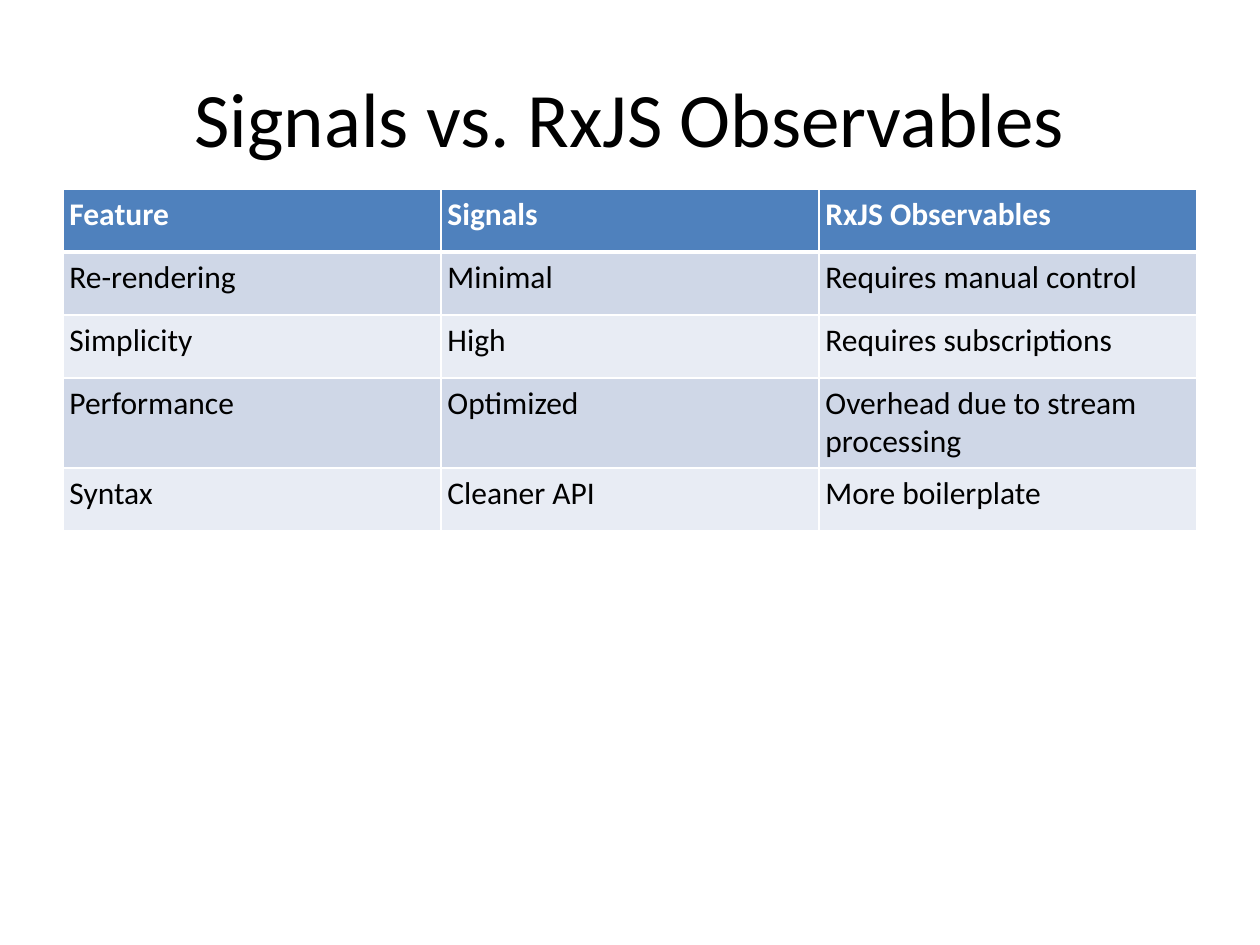
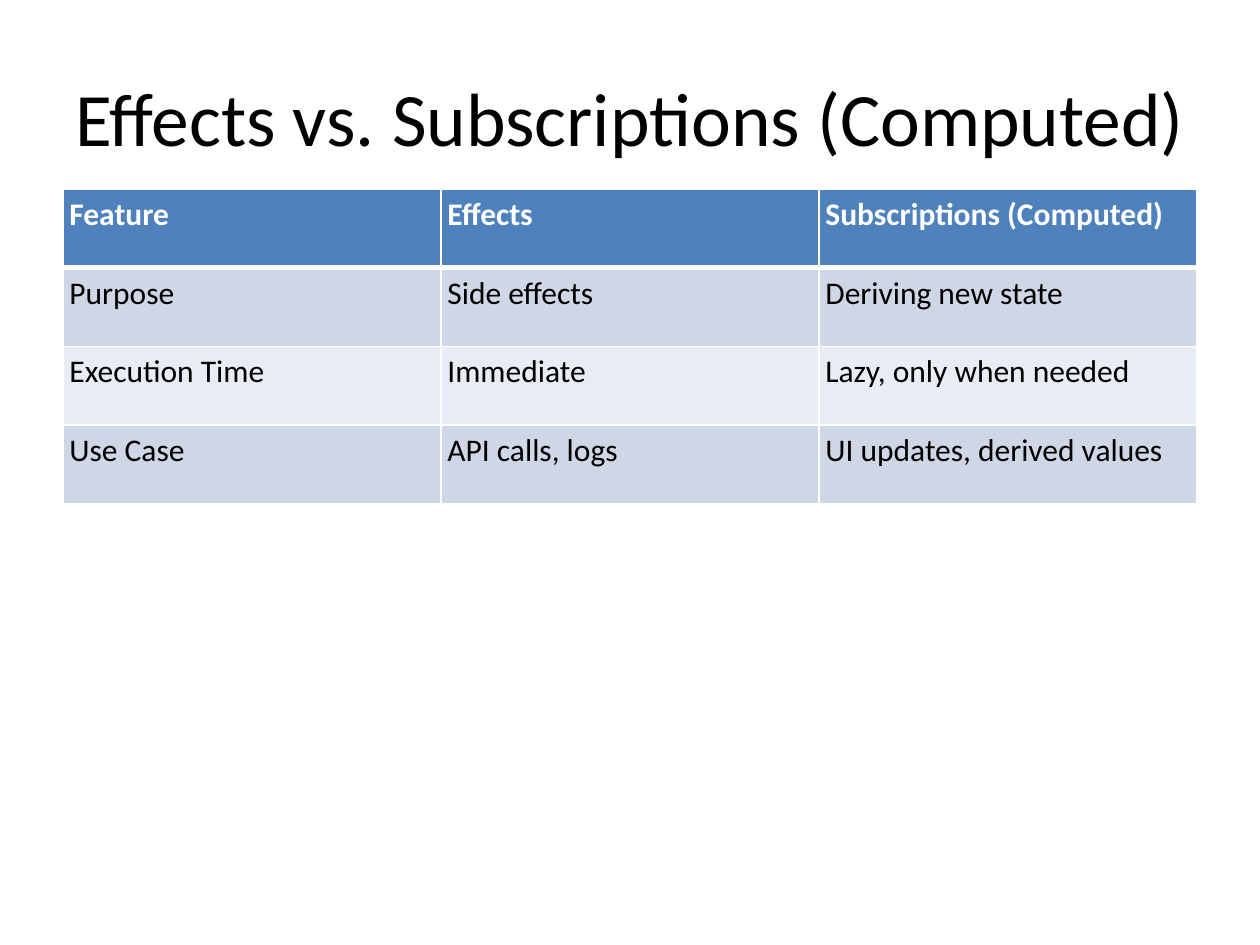
from lxml import etree
from pptx import Presentation
from pptx import util as u
from pptx.dml.color import RGBColor
from pptx.enum import text
from pptx.oxml import ns

FONT = "Calibri"
BLACK = RGBColor(0x00, 0x00, 0x00)
WHITE = RGBColor(0xFF, 0xFF, 0xFF)
HEADER_BLUE = RGBColor(0x4F, 0x81, 0xBD)
BAND_DARK = RGBColor(0xCF, 0xD7, 0xE7)
BAND_LIGHT = RGBColor(0xE8, 0xEC, 0xF4)

LEFT = u.Cm(1.27)
CONTENT_WIDTH = u.Cm(22.86)
TITLE_TOP, TITLE_HEIGHT = u.Cm(0.76), u.Cm(3.18)
TABLE_TOP, TABLE_HEIGHT = u.Cm(3.81), u.Cm(6.35)
INSET = u.Cm(0.13)
THIN, THICK = u.Pt(1), u.Pt(3)

SIGNALS_ROWS = [
    ("Feature", "Signals", "RxJS Observables"),
    ("Re-rendering", "Minimal", "Requires manual control"),
    ("Simplicity", "High", "Requires subscriptions"),
    ("Performance", "Optimized", "Overhead due to stream processing"),
    ("Syntax", "Cleaner API", "More boilerplate"),
]
EFFECTS_ROWS = [
    ("Feature", "Effects", "Subscriptions (Computed)"),
    ("Purpose", "Side effects", "Deriving new state"),
    ("Execution Time", "Immediate", "Lazy, only when needed"),
    ("Use Case", "API calls, logs", "UI updates, derived values"),
]


def set_insets(target):
    target.margin_left = target.margin_right = INSET
    target.margin_top = target.margin_bottom = INSET


def style_font(font, size, color, bold=False):
    font.name = FONT
    font.size = u.Pt(size)
    font.color.rgb = color
    font.bold = bold


def add_title(page, words, size):
    title = page.shapes.title
    title.left, title.top = LEFT, TITLE_TOP
    title.width, title.height = CONTENT_WIDTH, TITLE_HEIGHT
    frame = title.text_frame
    frame.text = words
    frame.word_wrap = True
    frame.auto_size = text.MSO_AUTO_SIZE.NONE
    frame.vertical_anchor = text.MSO_ANCHOR.MIDDLE
    set_insets(frame)
    para = frame.paragraphs[0]
    para.alignment = text.PP_ALIGN.CENTER
    style_font(para.font, size, BLACK)


def add_borders(cell, top, bottom):
    properties = cell._tc.get_or_add_tcPr()
    for side, width in (("L", THIN), ("R", THIN), ("T", top), ("B", bottom)):
        line = etree.SubElement(properties, ns.qn(f"a:ln{side}"), w=str(width))
        fill = etree.SubElement(line, ns.qn("a:solidFill"))
        etree.SubElement(fill, ns.qn("a:srgbClr"), val=str(WHITE))


def style_cell(cell, words, row_index):
    is_header = row_index == 0
    band = BAND_DARK if row_index % 2 else BAND_LIGHT
    cell.text = words
    set_insets(cell)
    add_borders(
        cell,
        top=THICK if row_index == 1 else THIN,
        bottom=THICK if is_header else THIN,
    )
    cell.fill.solid()
    cell.fill.fore_color.rgb = HEADER_BLUE if is_header else band
    font = cell.text_frame.paragraphs[0].font
    style_font(font, 18, WHITE if is_header else BLACK, bold=is_header)


def add_comparison(page, rows):
    table = page.shapes.add_table(
        len(rows), len(rows[0]), LEFT, TABLE_TOP, CONTENT_WIDTH, TABLE_HEIGHT
    ).table
    for row_index, row in enumerate(rows):
        for column_index, words in enumerate(row):
            style_cell(table.cell(row_index, column_index), words, row_index)


def add_page(deck, title, title_size, rows):
    page = deck.slides.add_slide(deck.slide_layouts.get_by_name("Title Only"))
    add_title(page, title, title_size)
    add_comparison(page, rows)


def main():
    deck = Presentation()
    deck.slide_width, deck.slide_height = u.Cm(25.4), u.Cm(19.05)
    add_page(deck, "Signals vs. RxJS Observables", 44, SIGNALS_ROWS)
    add_page(deck, "Effects vs. Subscriptions (Computed)", 43.1, EFFECTS_ROWS)
    deck.save("out.pptx")


if __name__ == "__main__":
    main()
